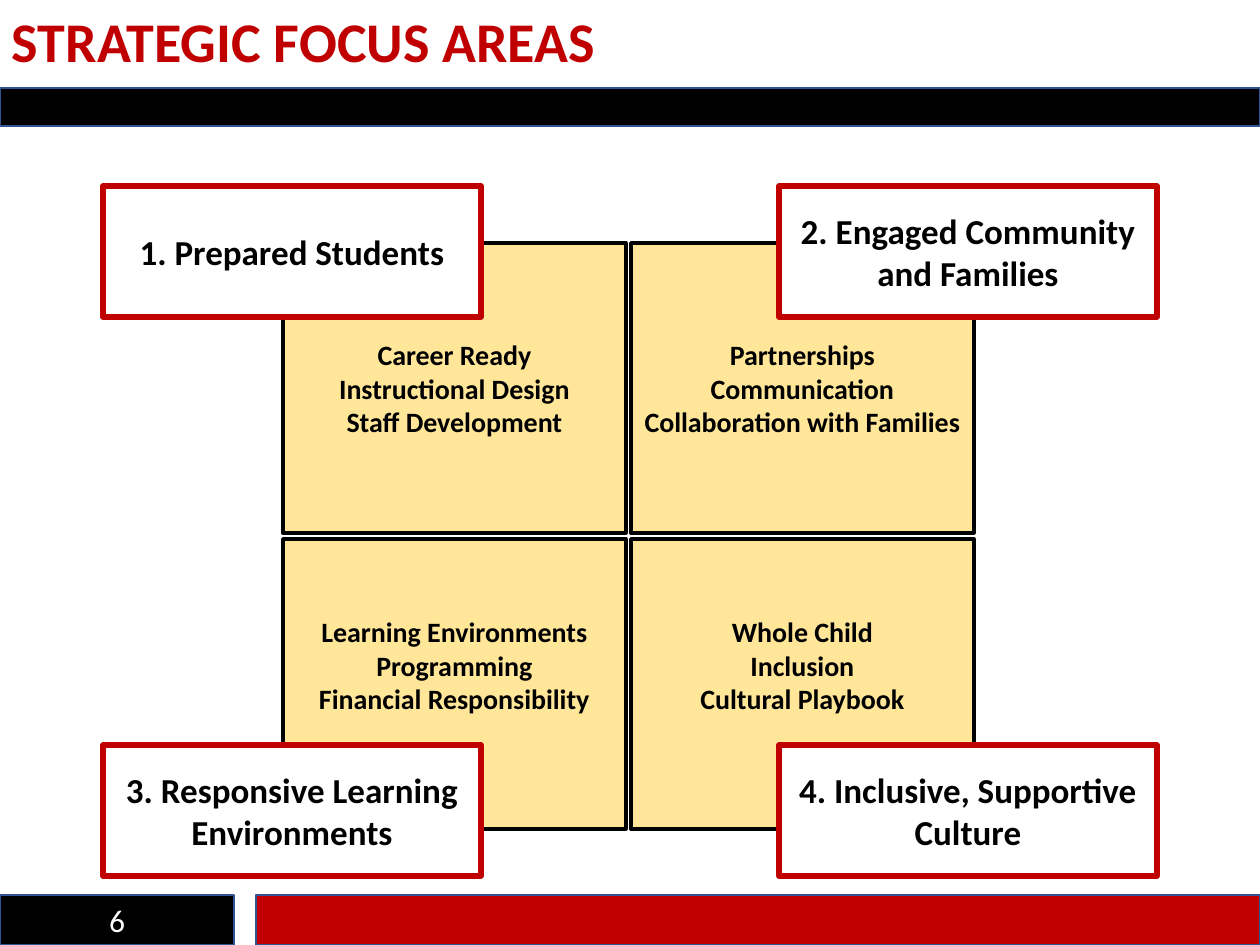
from pptx import Presentation
from pptx.dml.color import RGBColor
from pptx.enum.shapes import MSO_SHAPE
from pptx.enum.text import MSO_ANCHOR, MSO_AUTO_SIZE, PP_ALIGN
from pptx.util import Emu, Pt

RECTANGLE = MSO_SHAPE.RECTANGLE
MIDDLE, TOP = MSO_ANCHOR.MIDDLE, MSO_ANCHOR.TOP
CENTER, LEFT = PP_ALIGN.CENTER, PP_ALIGN.LEFT
GROW = MSO_AUTO_SIZE.SHAPE_TO_FIT_TEXT

EMU_PER_PX = 914400 / 126
SLIDE_W, SLIDE_H = 1260, 945
BLACK, WHITE, RED = "000000", "FFFFFF", "C00000"
BAND_EDGE, CREAM = "325491", "FFE699"

QUADRANT_LEFT, QUADRANT_TOP = 283, 243
QUADRANT_W, QUADRANT_H = 343, 290
QUADRANT_STEP_X, QUADRANT_STEP_Y = 348, 296
LABEL_LEFT, LABEL_TOP = 103, 186
LABEL_W, LABEL_H = 378, 131
LABEL_STEP_X, LABEL_STEP_Y = 676, 559
# Raises the text of the lower quadrants clear of the labels.
LOWER_INSET = 44

FOCUS_AREAS = [
    ("1. Prepared Students",
     ["Career Ready", "Instructional Design", "Staff Development"]),
    ("2. Engaged Community and Families",
     ["Partnerships", "Communication", "Collaboration with Families"]),
    ("3. Responsive Learning Environments",
     ["Learning Environments", "Programming", "Financial Responsibility"]),
    ("4. Inclusive, Supportive Culture",
     ["Whole Child", "Inclusion", "Cultural Playbook"]),
]


def px(length):
    return Emu(round(length * EMU_PER_PX))


def color(hex_string):
    return RGBColor.from_string(hex_string)


def write(frame, lines, size, ink=BLACK, bold=True, align=CENTER,
          anchor=MIDDLE, side_inset=12, bottom_inset=6):
    frame.word_wrap = True
    frame.vertical_anchor = anchor
    frame.margin_left = frame.margin_right = px(side_inset)
    frame.margin_top, frame.margin_bottom = px(6), px(bottom_inset)
    for index, line in enumerate(lines):
        paragraph = frame.add_paragraph() if index else frame.paragraphs[0]
        paragraph.alignment = align
        run = paragraph.add_run()
        run.text = line
        run.font.name = "Calibri"
        run.font.size = Pt(size)
        run.font.bold = bold
        run.font.color.rgb = color(ink)


def add_panel(slide, left, top, width, height, fill, edge, edge_width):
    panel = slide.shapes.add_shape(
        RECTANGLE, px(left), px(top), px(width), px(height))
    panel.shadow.inherit = False
    panel.fill.solid()
    panel.fill.fore_color.rgb = color(fill)
    panel.line.color.rgb = color(edge)
    panel.line.width = Pt(edge_width)
    return panel


def add_band(slide, left, top, width, height, fill):
    return add_panel(slide, left, top, width, height, fill, BAND_EDGE, 1)


def add_title(slide, title):
    box = slide.shapes.add_textbox(0, 0, px(SLIDE_W), px(81))
    write(box.text_frame, [title], 32, ink=RED, align=LEFT, anchor=TOP)
    box.text_frame.auto_size = GROW


def add_quadrant(slide, row, column, topics):
    quadrant = add_panel(
        slide, QUADRANT_LEFT + column * QUADRANT_STEP_X,
        QUADRANT_TOP + row * QUADRANT_STEP_Y,
        QUADRANT_W, QUADRANT_H, CREAM, BLACK, 2)
    write(quadrant.text_frame, topics, 16, side_inset=10,
          bottom_inset=LOWER_INSET if row else 6)


def add_label(slide, row, column, heading):
    label = add_panel(
        slide, LABEL_LEFT + column * LABEL_STEP_X,
        LABEL_TOP + row * LABEL_STEP_Y,
        LABEL_W, LABEL_H, WHITE, RED, 3)
    write(label.text_frame, [heading], 20)


def main():
    presentation = Presentation()
    presentation.slide_width = px(SLIDE_W)
    presentation.slide_height = px(SLIDE_H)
    slide = presentation.slides.add_slide(presentation.slide_layouts[6])

    page_band = add_band(slide, 0, 895, 234, 50, BLACK)
    write(page_band.text_frame, ["6"], 18, ink=WHITE, bold=False)
    add_band(slide, 256, 895, 1004, 50, RED)
    add_title(slide, "STRATEGIC FOCUS AREAS")
    add_band(slide, 0, 88, SLIDE_W, 38, BLACK)

    for index, (_, topics) in enumerate(FOCUS_AREAS):
        add_quadrant(slide, *divmod(index, 2), topics)
    for index, (heading, _) in enumerate(FOCUS_AREAS):
        add_label(slide, *divmod(index, 2), heading)

    presentation.save("out.pptx")


if __name__ == "__main__":
    main()
